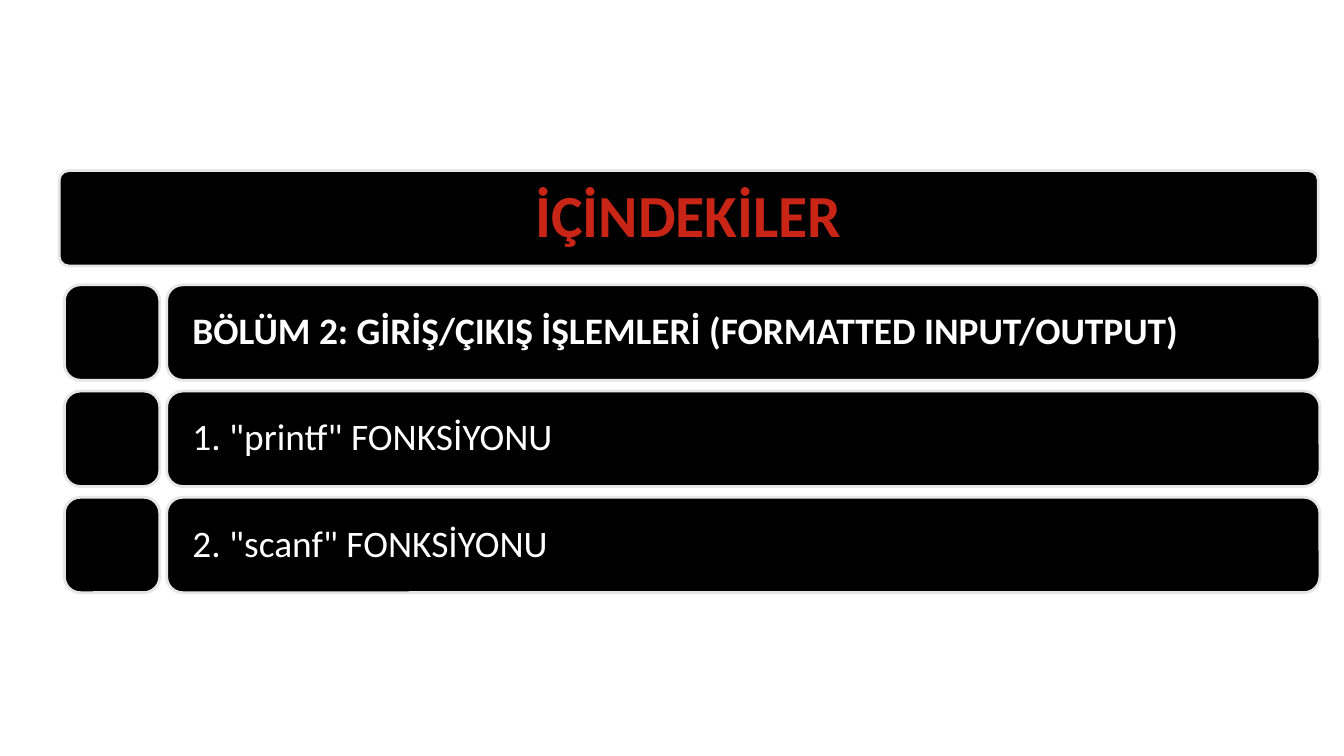
from pptx import Presentation
from pptx.dml.color import RGBColor
from pptx.enum import shapes, text
from pptx.util import Pt

TITLE = "İÇİNDEKİLER"
ROWS = [  # wording, bold
    ("BÖLÜM 2: GİRİŞ/ÇIKIŞ İŞLEMLERİ (FORMATTED INPUT/OUTPUT)", True),
    ('1. "printf" FONKSİYONU', False),
    ('2. "scanf" FONKSİYONU', False),
]

SIDE = 51.1  # height of every box, and width of the squares
LEFT, TOP, STEP = 34.5, 152.6, 56.9
BAR_X, BAR_W = 89.3, 617.8


def color(code):
    return RGBColor.from_string(code)


def add_box(slide, x, y, width, round_by=0.167):
    box = slide.shapes.add_shape(
        shapes.MSO_SHAPE.ROUNDED_RECTANGLE, Pt(x), Pt(y), Pt(width), Pt(SIDE))
    box.adjustments[0] = round_by
    box.shadow.inherit = False
    box.fill.solid()
    box.fill.fore_color.rgb = color("000000")
    box.line.color.rgb = color("E7E6E6")
    box.line.width = Pt(1.5)
    return box


def write(box, words, size, ink, bold, align, inset):
    frame = box.text_frame
    frame.word_wrap = True
    frame.vertical_anchor = text.MSO_ANCHOR.MIDDLE
    frame.margin_left = frame.margin_right = Pt(inset)
    para = frame.paragraphs[0]
    para.text = words
    para.alignment = align
    para.line_spacing = 0.9
    font = para.font
    font.name, font.size, font.bold = "Calibri", Pt(size), bold
    font.color.rgb = color(ink)


def main():
    deck = Presentation()
    deck.slide_width, deck.slide_height = Pt(720), Pt(405)
    slide = deck.slides.add_slide(deck.slide_layouts[6])

    head = add_box(slide, 31.7, 91.4, 674.6, 0.1)
    write(head, TITLE, 32, "C82517", True, text.PP_ALIGN.CENTER, 5)

    for i, (words, bold) in enumerate(ROWS):
        y = TOP + i * STEP
        add_box(slide, LEFT, y, SIDE)
        bar = add_box(slide, BAR_X, y, BAR_W)
        write(bar, words, 20, "FFFFFF", bold, text.PP_ALIGN.LEFT, 11.3)

    deck.save("out.pptx")


if __name__ == "__main__":
    main()
